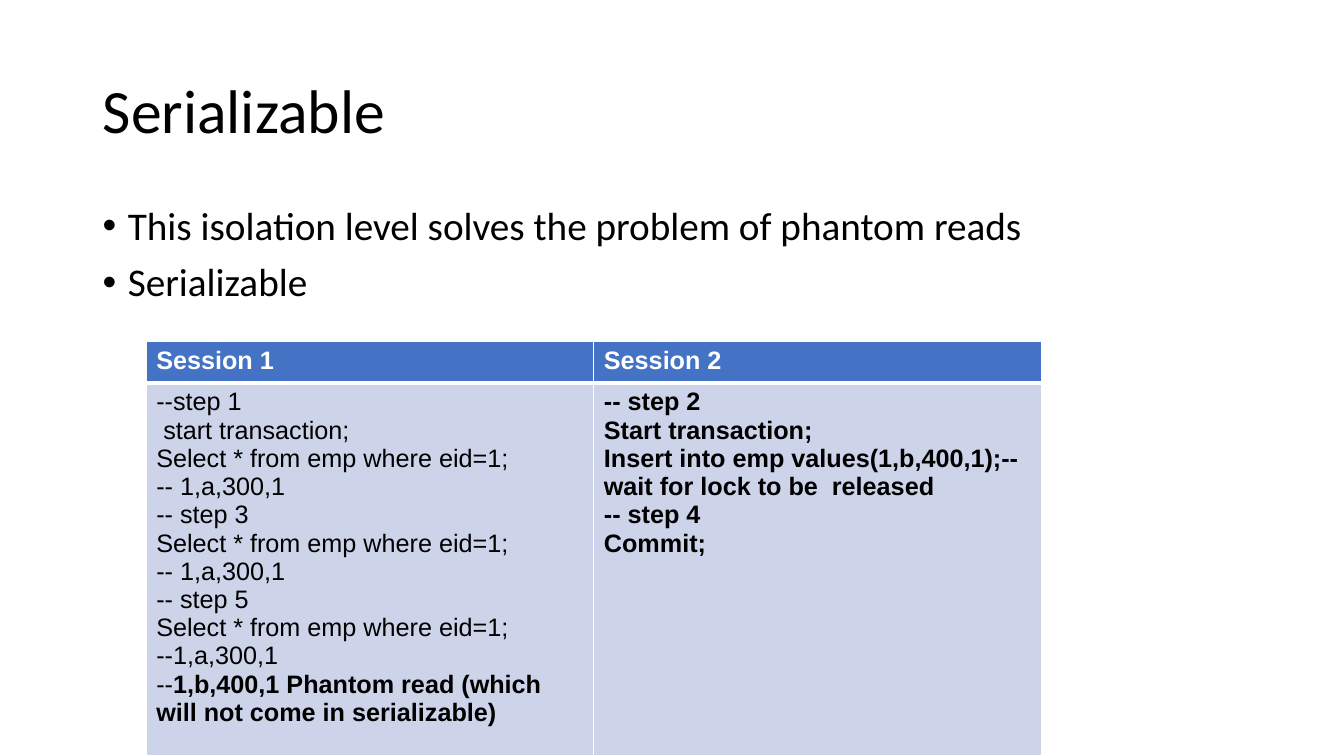
from lxml.etree import SubElement as Sub
from pptx import Presentation
from pptx.dml.color import RGBColor as RGB
from pptx.enum.text import MSO_ANCHOR as Anchor, MSO_AUTO_SIZE as Fit, PP_ALIGN as Align
from pptx.oxml.ns import qn
from pptx.util import Inches, Pt

BLACK = RGB(0x00, 0x00, 0x00)
WHITE = RGB(0xFF, 0xFF, 0xFF)
BLUE = RGB(0x44, 0x72, 0xC4)
PALE = RGB(0xCD, 0xD4, 0xEA)

QUERY = "Select * from emp where eid=1;"
HEADS = ["Session 1", "Session 2"]
STEPS = [
    [
        [("--step 1", False)],
        [(" start transaction;", False)],
        [(QUERY, False)],
        [("-- 1,a,300,1", False)],
        [("-- step 3", False)],
        [(QUERY, False)],
        [("-- 1,a,300,1", False)],
        [("-- step 5", False)],
        [(QUERY, False)],
        [("--1,a,300,1", False)],
        [("--", False),
         ("1,b,400,1 Phantom read (which will not come in serializable)", True)],
    ],
    [
        [("-- step 2", True)],
        [("Start transaction;", True)],
        [("Insert into emp values(1,b,400,1);-- wait for lock to be  released", True)],
        [("-- step 4", True)],
        [("Commit;", True)],
    ],
]


class Deck:
    main = "Calibri"
    grid = "Arial"

    def __init__(self):
        self.prs = Presentation()
        self.prs.slide_width = Inches(13.33)
        self.prs.slide_height = Inches(7.5)
        self.slide = self.prs.slides.add_slide(self.prs.slide_layouts[5])

    def run(self, para, text, font, size, color=BLACK, bold=False):
        run = para.add_run()
        run.text = text
        run.font.name = font
        run.font.size = Pt(size)
        run.font.bold = bold
        run.font.color.rgb = color

    def title(self, text, left, top, width, height):
        head = self.slide.shapes.title
        head.left, head.top = Inches(left), Inches(top)
        head.width, head.height = Inches(width), Inches(height)
        frame = head.text_frame
        frame.auto_size = Fit.NONE
        frame.vertical_anchor = Anchor.MIDDLE
        para = frame.paragraphs[0]
        para.alignment = Align.LEFT
        para.line_spacing = 0.9
        self.run(para, text, self.main, 44)

    def bullets(self, lines, left, top, width, height):
        box = self.slide.shapes.add_textbox(
            Inches(left), Inches(top), Inches(width), Inches(height))
        frame = box.text_frame
        frame.word_wrap = True
        for i, text in enumerate(lines):
            para = frame.add_paragraph() if i else frame.paragraphs[0]
            para.line_spacing = 0.9
            para.space_before = Pt(10 if i else 0)
            props = para._p.get_or_add_pPr()
            props.set("marL", str(Inches(0.25)))
            props.set("indent", str(-Inches(0.25)))
            Sub(props, qn("a:buFont"), typeface="Arial")
            Sub(props, qn("a:buChar"), char="•")
            self.run(para, text, self.main, 28)

    def edges(self, cell, top, base):
        props = cell._tc.get_or_add_tcPr()
        for side, width in zip("LRTB", (1, 1, top, base)):
            line = Sub(props, qn("a:ln" + side), w=str(Pt(width)))
            fill = Sub(line, qn("a:solidFill"))
            Sub(fill, qn("a:srgbClr"), val=str(WHITE))

    def cell(self, cell, lines, color, fill, top, base):
        self.edges(cell, top, base)
        cell.fill.solid()
        cell.fill.fore_color.rgb = fill
        frame = cell.text_frame
        for i, runs in enumerate(lines):
            para = frame.add_paragraph() if i else frame.paragraphs[0]
            for text, bold in runs:
                self.run(para, text, self.grid, 18, color, bold)

    def table(self, heads, bodies, left, top, width, heights):
        table = self.slide.shapes.add_table(
            2, len(heads), Inches(left), Inches(top),
            Inches(width), Inches(sum(heights))).table
        for row, height in zip(table.rows, heights):
            row.height = Inches(height)
        for col, (head, body) in enumerate(zip(heads, bodies)):
            table.columns[col].width = Inches(width / len(heads))
            self.cell(table.cell(0, col), [[(head, True)]], WHITE, BLUE, 1, 3)
            self.cell(table.cell(1, col), body, BLACK, PALE, 3, 1)


def main():
    deck = Deck()
    deck.title("Serializable", 0.92, 0.4, 11.5, 1.45)
    deck.bullets(
        ["This isolation level solves the problem of phantom reads", "Serializable"],
        0.92, 2, 11.5, 4.76)
    deck.table(HEADS, STEPS, 1.45, 3.39, 8.88, [0.41, 3.45])
    deck.prs.save("out.pptx")


if __name__ == "__main__":
    main()
